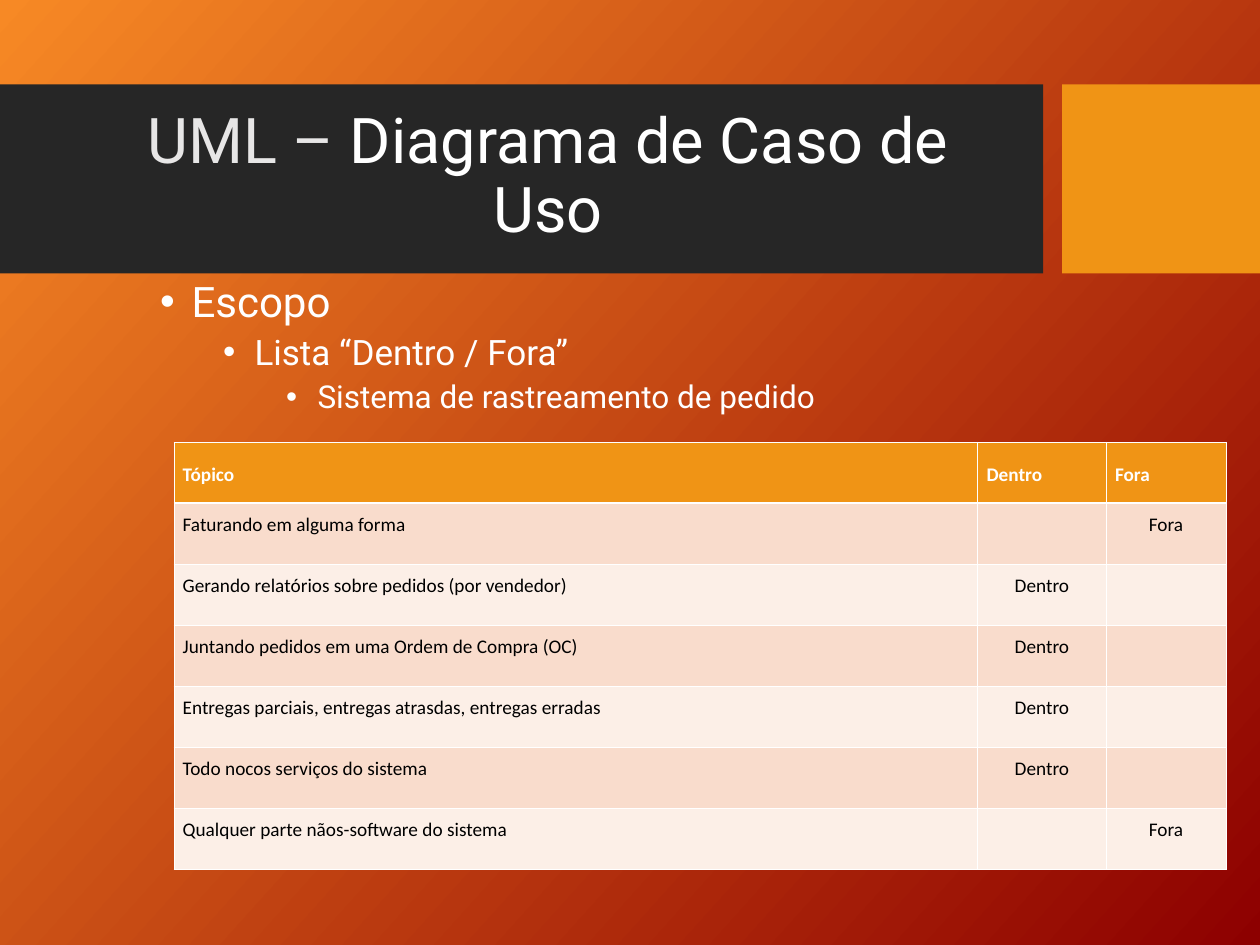
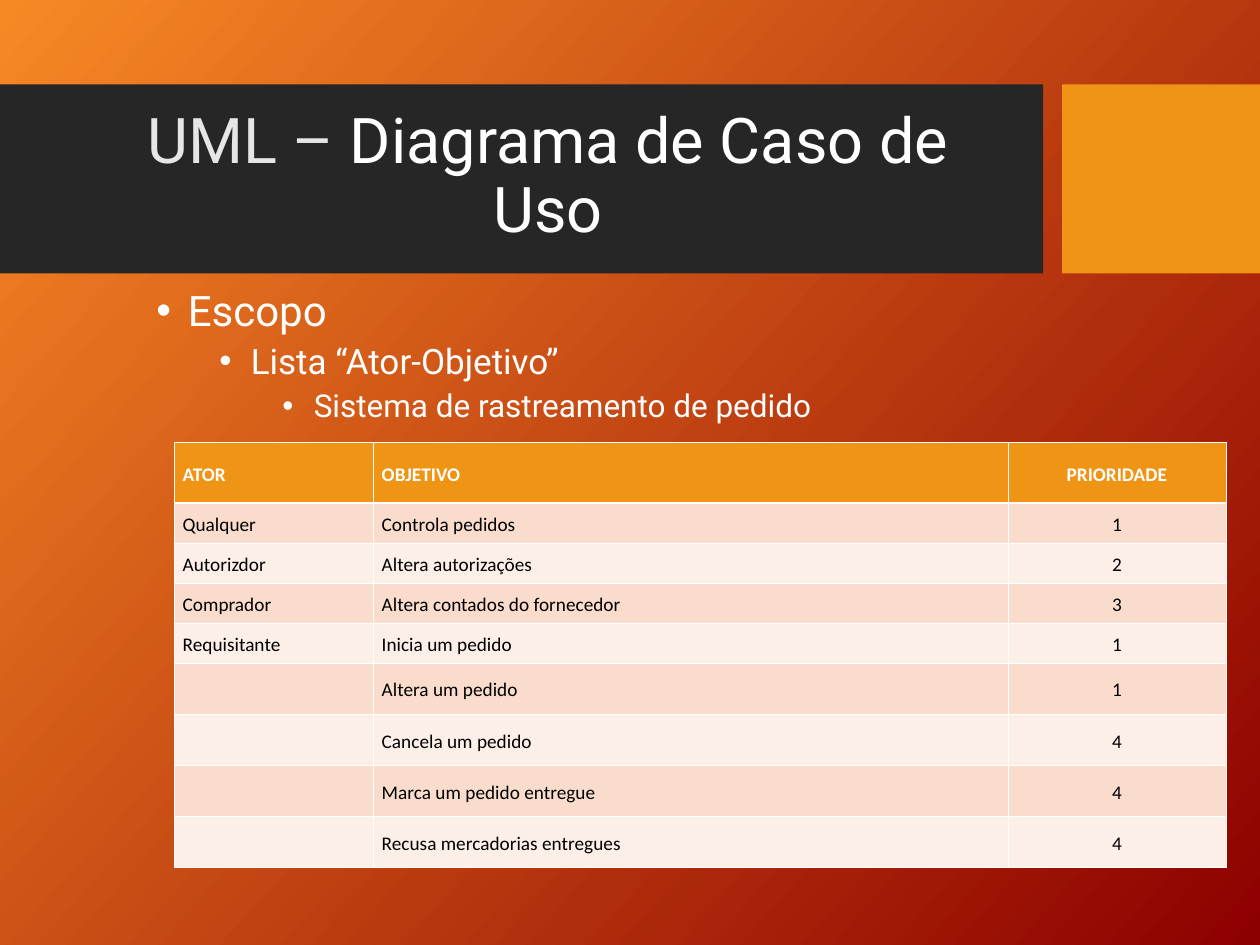
from dataclasses import dataclass

from lxml.etree import SubElement
from pptx import Presentation
from pptx.dml.color import RGBColor as Color
from pptx.enum.shapes import MSO_SHAPE as Shape
from pptx.enum.text import MSO_ANCHOR as Anchor, MSO_AUTO_SIZE as AutoSize, PP_ALIGN as Align
from pptx.oxml.ns import qn
from pptx.util import Emu, Inches, Pt


# Look shared by all slides
@dataclass(frozen=True)
class Theme:
    sky: str = "F78925"
    ember: str = "8D0000"
    band: str = "262626"
    accent: str = "F09415"
    white: str = "FFFFFF"
    soft_white: str = "E7E6E6"
    ink: str = "000000"
    stripes: tuple[str, str] = ("F9DCCC", "FCEFE7")
    heading_font: str = "Roboto"
    table_font: str = "Calibri"
    title_size: float = 36
    list_sizes: tuple[float, ...] = (24, 20, 18)
    table_size: float = 11
    thin_line: float = 0.45
    thick_line: float = 1.47


THEME = Theme()
GRID_COLUMNS, GRID_ROWS = 100, 75
SLIDE_WIDTH, SLIDE_HEIGHT = Inches(10), Inches(7.5)


def across(columns: float) -> Emu:
    return Emu(round(SLIDE_WIDTH * columns / GRID_COLUMNS))


def down(rows: float) -> Emu:
    return Emu(round(SLIDE_HEIGHT * rows / GRID_ROWS))


@dataclass(frozen=True)
class Area:
    """A rectangle in grid columns and rows."""
    left: float
    top: float
    width: float
    height: float

    def lengths(self) -> tuple[Emu, Emu, Emu, Emu]:
        return across(self.left), down(self.top), across(self.width), down(self.height)


@dataclass(frozen=True)
class Band:
    area: Area
    color: str


@dataclass(frozen=True)
class Column:
    heading: str
    width: float
    heading_align: Align = Align.LEFT
    align: Align = Align.LEFT
    anchor: Anchor = Anchor.TOP


@dataclass(frozen=True)
class ScopePage:
    list_left: float
    list_top: float
    list_name: str
    columns: tuple[Column, ...]
    rows: tuple[tuple[str, ...], ...]
    row_heights: tuple[float, ...]


# Content
BANDS = (Band(Area(0, 6.7, 82.8, 15), THEME.band),
         Band(Area(84.3, 6.7, 15.7, 15), THEME.accent))
TITLE_AREA = Area(5.8, 8.2, 75.4, 11.8)
LIST_WIDTH, LIST_HEIGHT = 85.5, 57.1
TABLE_LEFT, TABLE_TOP = 13.8, 35.1
HEADING_HEIGHT = 4.85

PAGES = (
    ScopePage(
        11.7, 21.8, "Lista “Dentro / Fora”",
        (Column("Tópico", 63.8),
         Column("Dentro", 10.2, align=Align.CENTER),
         Column("Fora", 9.5, align=Align.CENTER)),
        (("Faturando em alguma forma", "", "Fora"),
         ("Gerando relatórios sobre pedidos (por vendedor)", "Dentro", ""),
         ("Juntando pedidos em uma Ordem de Compra (OC)", "Dentro", ""),
         ("Entregas parciais, entregas atrasdas, entregas erradas", "Dentro", ""),
         ("Todo nocos serviços do sistema", "Dentro", ""),
         ("Qualquer parte nãos-software do sistema", "", "Fora")),
        (4.85,) * 6),
    ScopePage(
        11.4, 22.5, "Lista “Ator-Objetivo”",
        (Column("ATOR", 15.8),
         Column("OBJETIVO", 50.4, anchor=Anchor.MIDDLE),
         Column("PRIORIDADE", 17.3, Align.CENTER, Align.CENTER, Anchor.MIDDLE)),
        (("Qualquer", "Controla pedidos", "1"),
         ("Autorizdor", "Altera autorizações", "2"),
         ("Comprador", "Altera contados do fornecedor", "3"),
         ("Requisitante", "Inicia um pedido", "1"),
         ("", "Altera um pedido", "1"),
         ("", "Cancela um pedido", "4"),
         ("", "Marca um pedido entregue", "4"),
         ("", "Recusa mercadorias entregues", "4")),
        (3.17,) * 4 + (3.94,) * 4),
)


def style_run(span, font: str, size: float, color: str, bold: bool = False) -> None:
    span.font.name = font
    span.font.size = Pt(size)
    span.font.bold = bold
    span.font.color.rgb = Color.from_string(color)


def place(box, area: Area) -> None:
    box.left, box.top, box.width, box.height = area.lengths()


# Background, bands and title position, set once on the layout
def dress_layout(layout, page) -> None:
    fill = layout.background.fill
    fill.gradient()
    fill.gradient_angle = 360 - 42
    for stop, color in zip(fill.gradient_stops, (THEME.sky, THEME.ember)):
        stop.color.rgb = Color.from_string(color)
    for position, band in enumerate(BANDS, start=2):
        box = page.shapes.add_shape(Shape.RECTANGLE, *band.area.lengths())
        box.shadow.inherit = False
        box.fill.solid()
        box.fill.fore_color.rgb = Color.from_string(band.color)
        box.line.fill.background()
        layout.shapes.element.insert(position, box.element)
    place(layout.placeholders[0], TITLE_AREA)


def write_title(page) -> None:
    frame = page.shapes.title.text_frame
    frame.auto_size = AutoSize.NONE
    frame.vertical_anchor = Anchor.MIDDLE
    para = frame.paragraphs[0]
    para.text = "UML – "
    para.add_run().text = "Diagrama de Caso de Uso"
    para.alignment = Align.CENTER
    para.line_spacing = 0.9
    for span, color in zip(para.runs, (THEME.soft_white, THEME.white)):
        style_run(span, THEME.heading_font, THEME.title_size, color)


def add_bullet(para, level: int) -> None:
    properties = para._p.get_or_add_pPr()
    properties.set("marL", str(Inches(0.25 + 0.5 * level)))
    properties.set("indent", str(Inches(-0.25)))
    bullet_color = SubElement(properties, qn("a:buClr"))
    SubElement(bullet_color, qn("a:srgbClr"), val=THEME.white)
    SubElement(properties, qn("a:buFont"), typeface="Arial")
    SubElement(properties, qn("a:buChar"), char="•")


def write_list(page, content: ScopePage) -> None:
    box = page.placeholders[1]
    place(box, Area(content.list_left, content.list_top, LIST_WIDTH, LIST_HEIGHT))
    frame = box.text_frame
    frame.text = "\n".join(("Escopo", content.list_name, "Sistema de rastreamento de pedido"))
    frame.auto_size = AutoSize.NONE
    for level, para in enumerate(frame.paragraphs):
        para.level = level
        add_bullet(para, level)
        para.line_spacing = 0.9
        para.space_before = Pt(5 if level else 0)
        style_run(para.runs[0], THEME.heading_font, THEME.list_sizes[level], THEME.white)


# Table
def add_borders(cell, row: int) -> None:
    properties = cell._tc.get_or_add_tcPr()
    widths = {"L": THEME.thin_line, "R": THEME.thin_line,
              "T": THEME.thick_line if row == 1 else THEME.thin_line,
              "B": THEME.thick_line if row == 0 else THEME.thin_line}
    for side, width in widths.items():
        line = SubElement(properties, qn(f"a:ln{side}"), w=str(Pt(width)))
        SubElement(SubElement(line, qn("a:solidFill")), qn("a:srgbClr"), val=THEME.white)


def fill_cell(cell, text: str, row: int, column: Column) -> None:
    heading = row == 0
    add_borders(cell, row)
    cell.fill.solid()
    background = THEME.accent if heading else THEME.stripes[(row - 1) % 2]
    cell.fill.fore_color.rgb = Color.from_string(background)
    cell.margin_left = cell.margin_right = Inches(0.07)
    cell.margin_top = cell.margin_bottom = Inches(0.05)
    cell.vertical_anchor = Anchor.MIDDLE if heading else column.anchor
    cell.text = text
    para = cell.text_frame.paragraphs[0]
    para.alignment = column.heading_align if heading else column.align
    para.line_spacing = 1.15
    for span in para.runs:
        style_run(span, THEME.table_font, THEME.table_size,
                  THEME.white if heading else THEME.ink, heading)


def draw_table(page, content: ScopePage) -> None:
    heights = (HEADING_HEIGHT, *content.row_heights)
    area = Area(TABLE_LEFT, TABLE_TOP, sum(column.width for column in content.columns), sum(heights))
    table = page.shapes.add_table(len(heights), len(content.columns), *area.lengths()).table
    table.horz_banding = False
    for track, column in zip(table.columns, content.columns):
        track.width = across(column.width)
    for track, height in zip(table.rows, heights):
        track.height = down(height)
    headings = tuple(column.heading for column in content.columns)
    for row, texts in enumerate((headings, *content.rows)):
        for index, (text, column) in enumerate(zip(texts, content.columns)):
            fill_cell(table.cell(row, index), text, row, column)


def main() -> None:
    deck = Presentation()
    deck.slide_width, deck.slide_height = SLIDE_WIDTH, SLIDE_HEIGHT
    layout = deck.slide_layouts[1]
    for number, content in enumerate(PAGES):
        page = deck.slides.add_slide(layout)
        if number == 0:
            dress_layout(layout, page)
        write_title(page)
        write_list(page, content)
        draw_table(page, content)
    deck.save("out.pptx")


if __name__ == "__main__":
    main()
